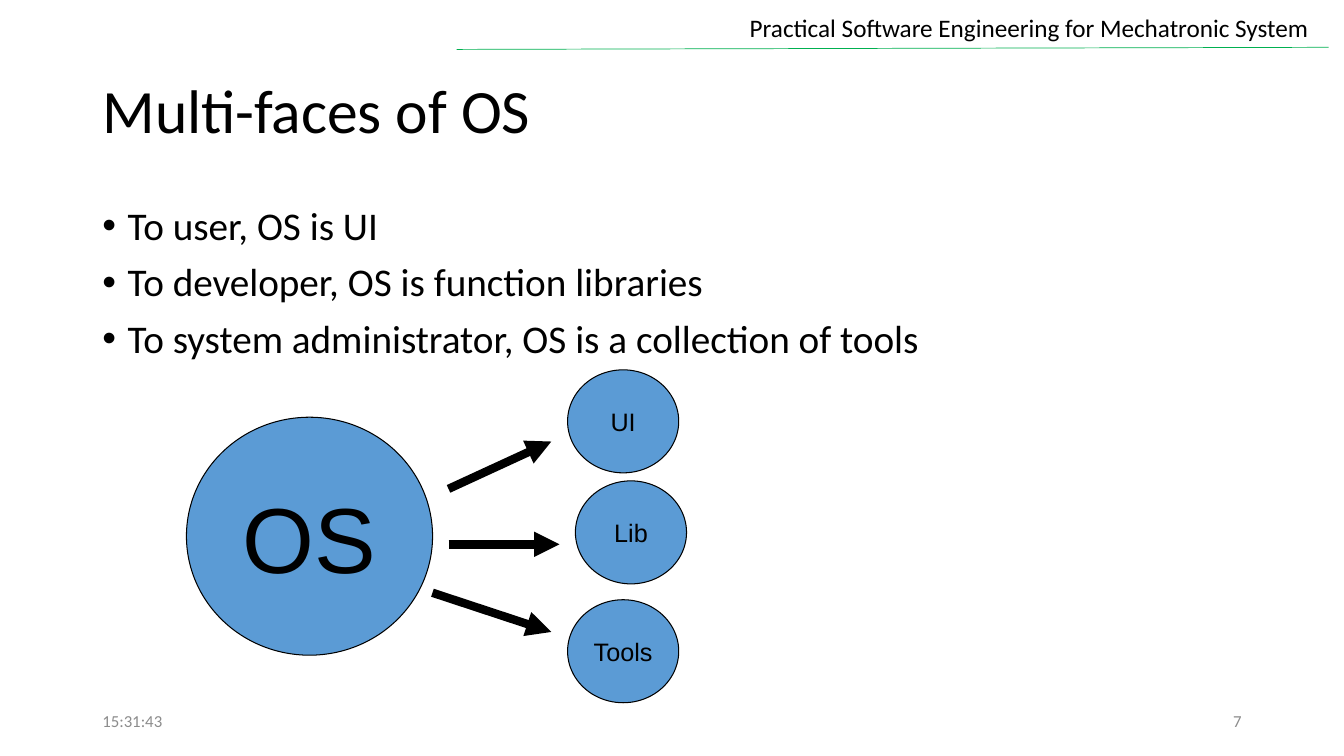
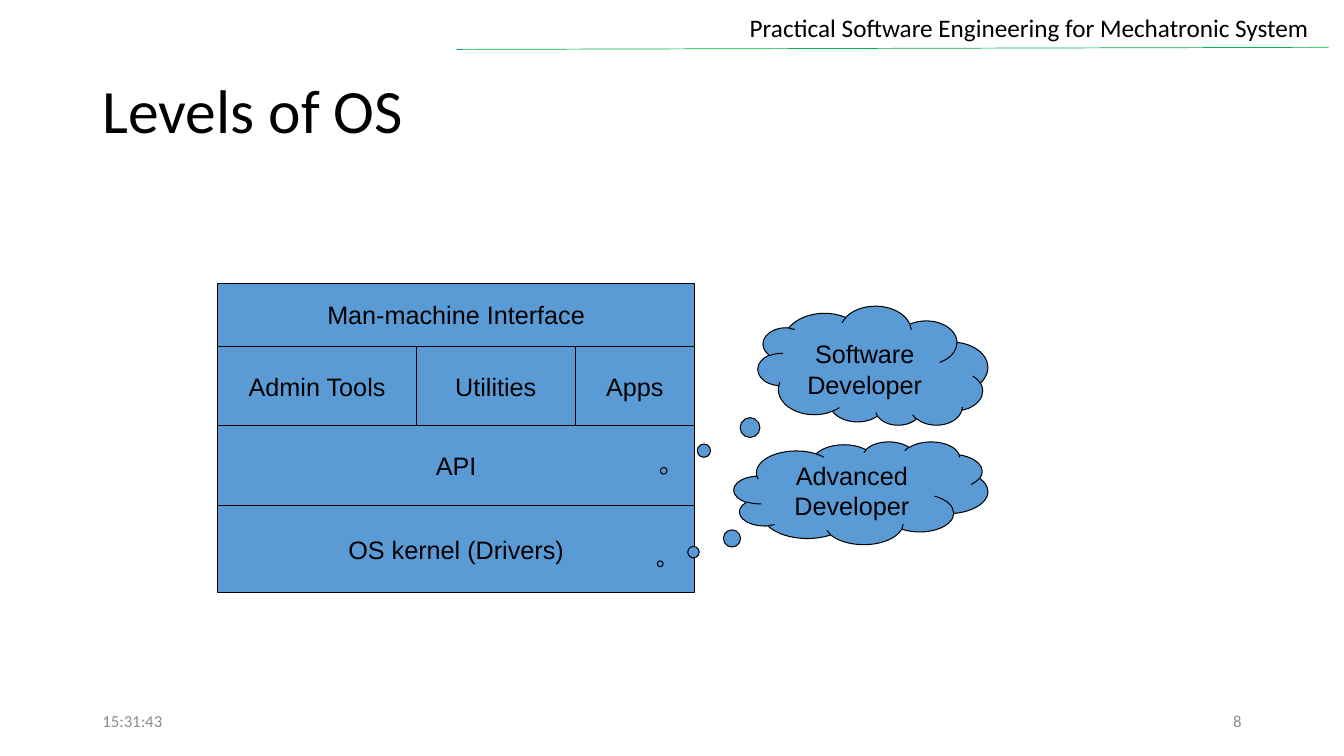
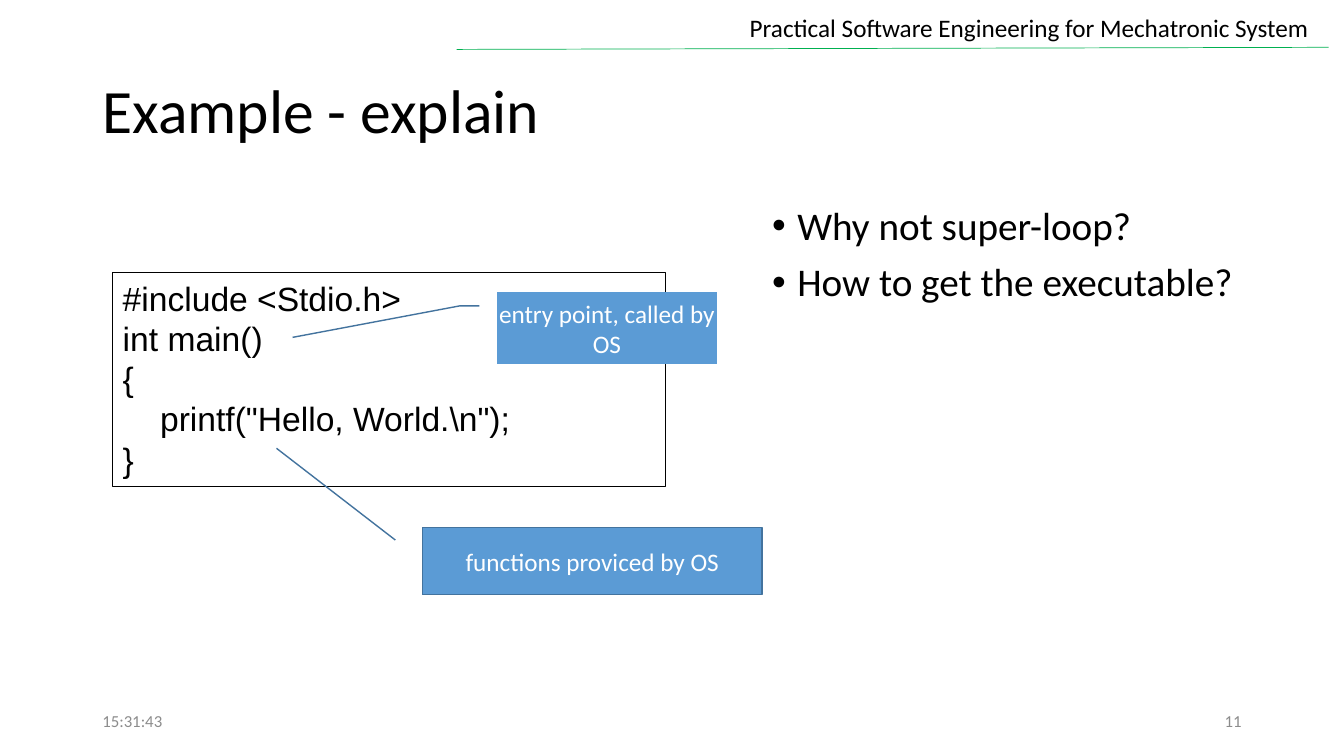
from lxml import etree
from pptx import Presentation
from pptx.dml.color import RGBColor
from pptx.enum.shapes import MSO_CONNECTOR, MSO_SHAPE
from pptx.enum.text import MSO_ANCHOR, MSO_AUTO_SIZE, PP_ALIGN
from pptx.oxml.ns import qn
from pptx.util import Pt

LEFT, CENTER, RIGHT = PP_ALIGN.LEFT, PP_ALIGN.CENTER, PP_ALIGN.RIGHT
TOP, MIDDLE = MSO_ANCHOR.TOP, MSO_ANCHOR.MIDDLE
RECTANGLE, ELLIPSE, CLOUD = MSO_SHAPE.RECTANGLE, MSO_SHAPE.OVAL, MSO_SHAPE.CLOUD_CALLOUT
BORDER_CALLOUT, BENT_CALLOUT = MSO_SHAPE.LINE_CALLOUT_1, MSO_SHAPE.LINE_CALLOUT_2_NO_BORDER
STRAIGHT = MSO_CONNECTOR.STRAIGHT
TITLE_AND_BODY, TITLE_ONLY = 1, 5

COLORS = {"text": "000000", "white": "FFFFFF", "blue": "5B9BD5",
          "blue_edge": "43739E", "green": "00B050", "gray": "8C8C8C"}
HEADING, LABEL = "Calibri", "Arial"

# Shared content and places: left, top, width, height
COURSE = "Practical Software Engineering for Mechatronic System"
TIME = "15:31:43"
COURSE_BOX = (351.4, 5, 590.4, 29)
COURSE_RULE = (326.2, 35.3, 949, 33.8)
TITLE_BOX = (66, 28.8, 828, 104.4)
TIME_BOX = (66, 500.4, 216, 28.8)
NUMBER_BOX = (678, 500.4, 216, 28.8)

# Multi-faces of OS
FACES_BODY = (66, 144, 828, 342.7)
FACES = ["To user, OS is UI", "To developer, OS is function libraries",
         "To system administrator, OS is a collection of tools"]
OS_CIRCLE = (133.2, 298, 175.8, 170)
FACE_SIZE = (79.4, 73.6)
FACE_CIRCLES = [  # label, left, top, arrow from x, y to x, y
    ("UI", 405.4, 264.2, (320.4, 349.2, 393.8, 315.4)),
    ("Lib", 411, 343.5, (320.4, 388.8, 399.6, 388.8)),
    ("Tools", 405.4, 428.4, (308.9, 423.4, 393.8, 451.4)),
]

# Levels of OS: row height, then label and width of each block
STACK_LEFT, STACK_TOP, STACK_WIDTH = 155.6, 202.2, 340.4
LEVELS = [
    (45.4, [("Man-machine Interface", STACK_WIDTH)]),
    (56.7, [("Admin Tools", 141.8), ("Utilities", 113.4), ("Apps", 85.2)]),
    (56.7, [("API", STACK_WIDTH)]),
    (62.4, [("OS kernel (Drivers)", STACK_WIDTH)]),
]
DEVELOPERS = [  # label, box, tail, flipped
    ("Software Developer", (541.4, 219, 164.2, 85), (-0.91, -0.88), True),
    ("Advanced Developer", (524.2, 315.4, 181.4, 73.4), (-0.79, 0.69), False),
]

# Example: indent and text of each code line
QUESTIONS_BODY = (544.3, 144, 349.2, 222.5)
QUESTIONS = ["Why not super-loop?", "How to get the executable?"]
CODE_BOX = (80.6, 194.6, 394.6, 152.6)
CODE = [(0, "#include <Stdio.h>"), (0, "int main()"), (0, "{"),
        (26.7, 'printf("Hello, World.\\n");'), (0, "}")]
NOTES = [  # label, kind, box, leader line
    ("functions proviced by OS", BORDER_CALLOUT, (301.8, 376.6, 242.6, 48.2),
     (0.19, -0.08, -1.17, -0.43)),
    ("entry point, called by OS", BENT_CALLOUT, (355, 208.8, 157, 51.1),
     (0.19, -0.08, 0.19, -0.17, 0.63, -0.93)),
]


def points(values):
    return [Pt(value) for value in values]


def rgb(name):
    return RGBColor.from_string(COLORS[name])


def write(shape, lines, size, font, color="text", align=LEFT, anchor=MIDDLE, wrap=True):
    frame = shape.text_frame
    frame.auto_size = MSO_AUTO_SIZE.NONE
    frame.word_wrap = wrap
    frame.vertical_anchor = anchor
    frame.text = "\n".join(lines)
    for paragraph in frame.paragraphs:
        paragraph.alignment = align
        paragraph.font.size = Pt(size)
        paragraph.font.name = font
        paragraph.font.color.rgb = rgb(color)
    return frame


def set_indent(paragraph, margin, first):
    properties = paragraph._p.get_or_add_pPr()
    properties.set("marL", str(Pt(margin)))
    properties.set("indent", str(Pt(first)))


def place(shape, box):
    shape.left, shape.top, shape.width, shape.height = points(box)


def add_text(slide, box, text, size, color="text", align=LEFT, anchor=MIDDLE):
    shape = slide.shapes.add_textbox(*points(box))
    write(shape, [text], size, HEADING, color, align, anchor)


def add_line(slide, ends, color, width, arrow=False):
    connector = slide.shapes.add_connector(STRAIGHT, *points(ends))
    connector.line.color.rgb = rgb(color)
    connector.line.width = Pt(width)
    if arrow:
        etree.SubElement(connector.line._get_or_add_ln(), qn("a:tailEnd"), type="triangle")
    etree.SubElement(connector.element.spPr, qn("a:effectLst"))


def add_block(slide, kind, box, fill="blue", edge="text", width=0.75):
    shape = slide.shapes.add_shape(kind, *points(box))
    shape.shadow.inherit = False
    if fill:
        shape.fill.solid()
        shape.fill.fore_color.rgb = rgb(fill)
    else:
        shape.fill.background()
    shape.line.color.rgb = rgb(edge)
    shape.line.width = Pt(width)
    return shape


def add_labelled(slide, kind, box, label, size=18):
    write(add_block(slide, kind, box), [label], size, LABEL, align=CENTER, wrap=False)


def set_adjustments(shape, values):
    for index, value in enumerate(values):
        shape.adjustments[index] = value


def add_page(presentation, title, number, layout):
    slide = presentation.slides.add_slide(presentation.slide_layouts[layout])
    add_text(slide, COURSE_BOX, COURSE, 18, align=RIGHT, anchor=TOP)
    add_line(slide, COURSE_RULE, "green", 0.5)
    place(slide.shapes.title, TITLE_BOX)
    frame = write(slide.shapes.title, [title], 44, HEADING)
    frame.paragraphs[0].line_spacing = 0.9
    add_text(slide, TIME_BOX, TIME, 12, "gray")
    add_text(slide, NUMBER_BOX, str(number), 12, "gray", RIGHT)
    return slide


def fill_body(slide, box, items):
    body = slide.placeholders[1]
    place(body, box)
    for paragraph in write(body, items, 28, HEADING, anchor=TOP).paragraphs:
        paragraph.line_spacing = 0.9
        paragraph.space_before = Pt(10)
        set_indent(paragraph, 18, -18)


def build_faces(presentation):
    slide = add_page(presentation, "Multi-faces of OS", 7, TITLE_AND_BODY)
    fill_body(slide, FACES_BODY, FACES)
    add_labelled(slide, ELLIPSE, OS_CIRCLE, "OS", 66)
    for label, left, top, arrow in FACE_CIRCLES:
        add_labelled(slide, ELLIPSE, (left, top, *FACE_SIZE), label)
        add_line(slide, arrow, "text", 6, arrow=True)


def build_levels(presentation):
    slide = add_page(presentation, "Levels of OS", 8, TITLE_ONLY)
    top = STACK_TOP
    for height, blocks in LEVELS:
        left = STACK_LEFT
        for label, width in blocks:
            add_labelled(slide, RECTANGLE, (left, top, width, height), label)
            left += width
        top += height
    for label, box, tail, flipped in DEVELOPERS:
        cloud = add_block(slide, CLOUD, box)
        set_adjustments(cloud, tail)
        write(cloud, [label], 18, LABEL, align=CENTER)
        if flipped:  # turn the text back upright
            cloud.element.spPr.find(qn("a:xfrm")).set("flipV", "1")
            cloud.element.txBody.find(qn("a:bodyPr")).set("rot", "10800000")


def build_example(presentation):
    slide = add_page(presentation, "Example - explain", 11, TITLE_AND_BODY)
    fill_body(slide, QUESTIONS_BODY, QUESTIONS)
    code_box = add_block(slide, RECTANGLE, CODE_BOX, fill=None)
    frame = write(code_box, [text for _, text in CODE], 24, LABEL, anchor=TOP)
    for paragraph, (indent, _) in zip(frame.paragraphs, CODE):
        set_indent(paragraph, indent, 0)
    for label, kind, box, leader in NOTES:
        note = add_block(slide, kind, box, edge="blue_edge", width=1)
        set_adjustments(note, leader)
        frame = write(note, [label], 18, HEADING, "white", CENTER)
        frame.margin_left = frame.margin_right = frame.margin_top = frame.margin_bottom = 0


def main():
    presentation = Presentation()
    presentation.slide_width, presentation.slide_height = Pt(960), Pt(540)
    build_faces(presentation)
    build_levels(presentation)
    build_example(presentation)
    presentation.save("out.pptx")


if __name__ == "__main__":
    main()
